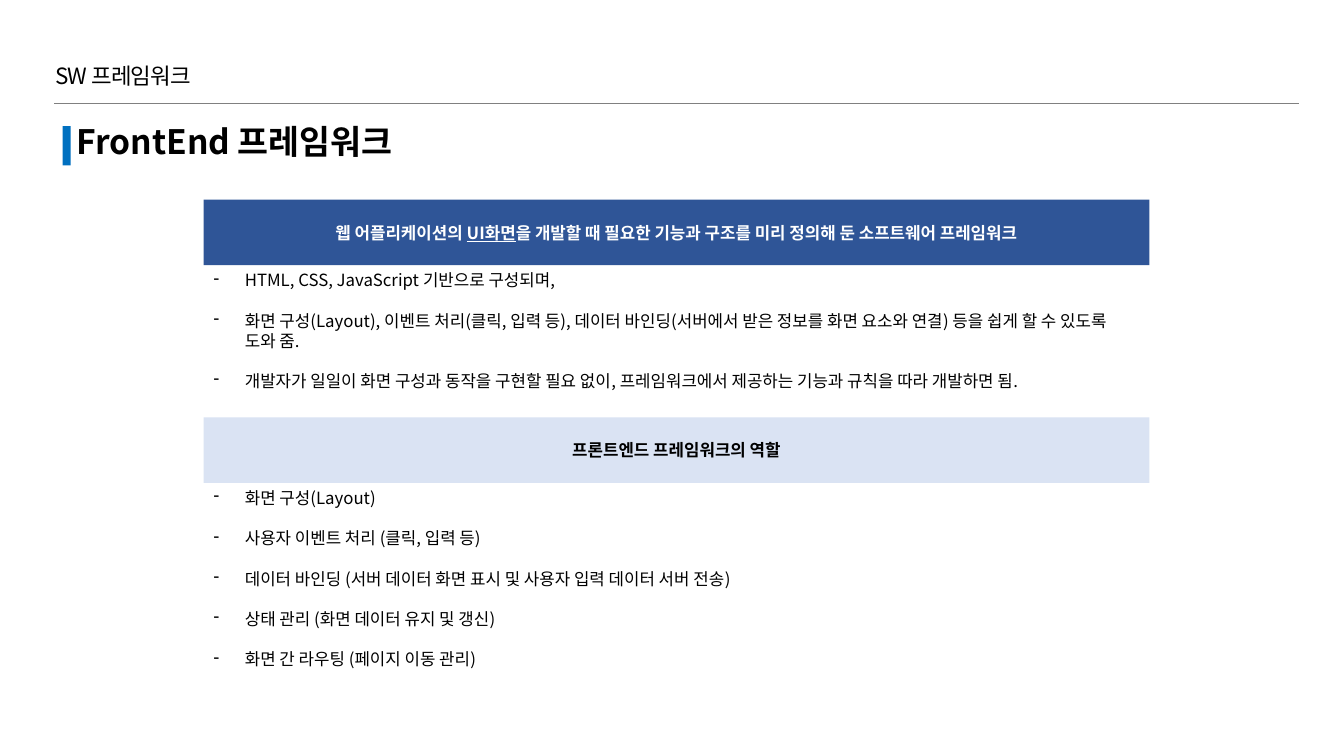
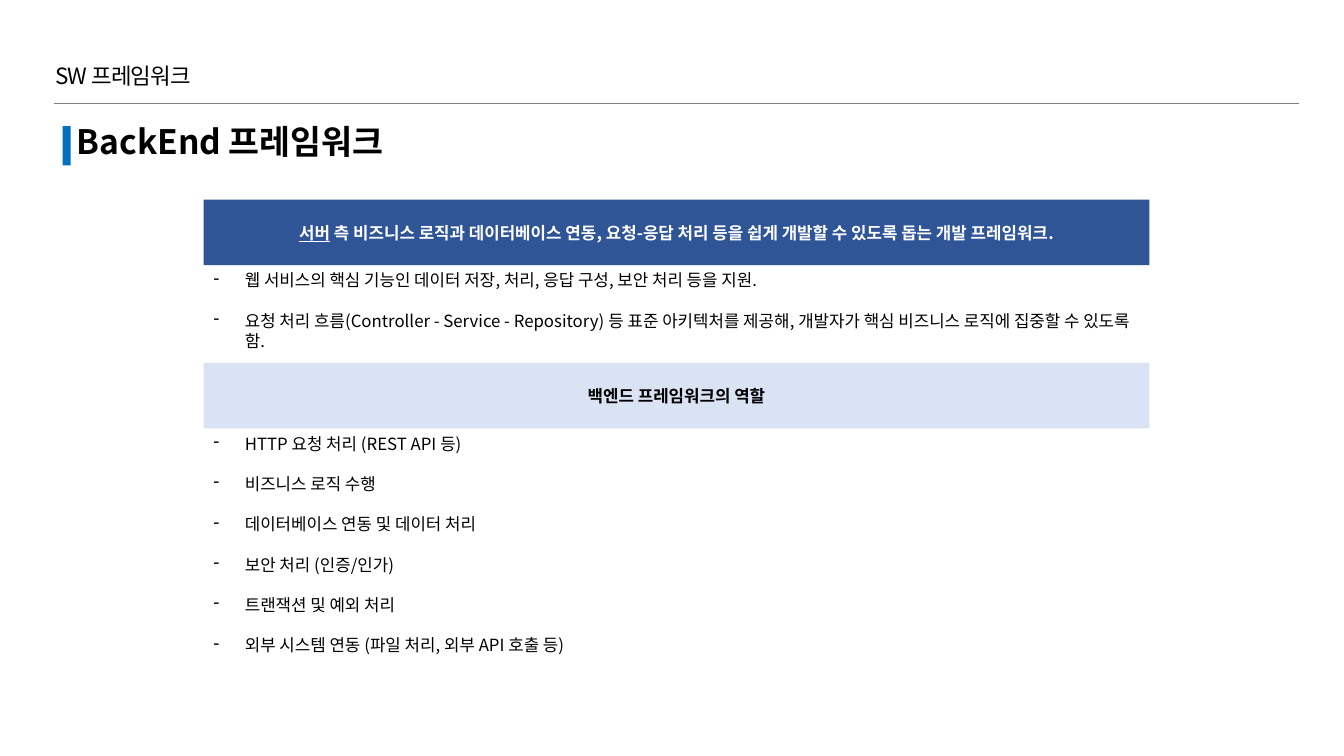
from pptx import Presentation
from pptx.dml.color import RGBColor
from pptx.enum.shapes import MSO_CONNECTOR as LINE, MSO_SHAPE as SHAPE
from pptx.enum.text import MSO_ANCHOR as ANCHOR, MSO_AUTO_SIZE as FIT, PP_ALIGN as ALIGN
from pptx.oxml.ns import qn
from pptx.util import Inches, Pt
from lxml.etree import SubElement

FONT = "Noto Sans CJK KR"
BLACK = RGBColor(0x00, 0x00, 0x00)
WHITE = RGBColor(0xFF, 0xFF, 0xFF)
GRAY = RGBColor(0x80, 0x80, 0x80)
BLUE = RGBColor(0x00, 0x70, 0xC0)
NAVY = RGBColor(0x2F, 0x55, 0x97)
PALE = RGBColor(0xDA, 0xE3, 0xF3)

# Shared column: bars with a list right below each
LEFT, WIDTH, BAR, TOP = 2.02, 9.38, 0.65, 1.98
INDENT = Inches(0.31)

HEAD = {"size": Pt(16), "color": BLACK}
TITLE = {"size": Pt(24), "color": BLACK, "bold": True}
BODY = {"size": Pt(12), "color": BLACK}
LIGHT = {"size": Pt(12), "color": WHITE, "bold": True}
DARK = {"size": Pt(12), "color": BLACK, "bold": True}

# Each section: top, fill, style, bar runs (text, underlined), list height, list items
PAGES = [
    ("FrontEnd 프레임워크", [
        (TOP, NAVY, LIGHT,
         [("웹 어플리케이션의 ", False), ("UI화면", True),
          ("을 개발할 때 필요한 기능과 구조를 미리 정의해 둔 소프트웨어 프레임워크", False)],
         1.51,
         ["HTML, CSS, JavaScript 기반으로 구성되며,",
          "화면 구성(Layout), 이벤트 처리(클릭, 입력 등), 데이터 바인딩(서버에서 받은 정보를 "
          "화면 요소와 연결) 등을 쉽게 할 수 있도록 도와 줌.",
          "개발자가 일일이 화면 구성과 동작을 구현할 필요 없이, 프레임워크에서 제공하는 "
          "기능과 규칙을 따라 개발하면 됨."]),
        (4.14, PALE, DARK, [("프론트엔드 프레임워크의 역할", False)], 1.92,
         ["화면 구성(Layout)",
          "사용자 이벤트 처리 (클릭, 입력 등)",
          "데이터 바인딩 (서버 데이터 화면 표시 및 사용자 입력 데이터 서버 전송)",
          "상태 관리 (화면 데이터 유지 및 갱신)",
          "화면 간 라우팅 (페이지 이동 관리)"]),
    ]),
    ("BackEnd 프레임워크", [
        (TOP, NAVY, LIGHT,
         [("서버", True),
          (" 측 비즈니스 로직과 데이터베이스 연동, 요청-응답 처리 등을 쉽게 개발할 수 있도록 "
           "돕는 개발 프레임워크.", False)],
         1.11,
         ["웹 서비스의 핵심 기능인 데이터 저장, 처리, 응답 구성, 보안 처리 등을 지원.",
          "요청 처리 흐름(Controller - Service - Repository) 등 표준 아키텍처를 제공해, "
          "개발자가 핵심 비즈니스 로직에 집중할 수 있도록 함."]),
        (3.6, PALE, DARK, [("백엔드 프레임워크의 역할", False)], 2.32,
         ["HTTP 요청 처리 (REST API 등)",
          "비즈니스 로직 수행",
          "데이터베이스 연동 및 데이터 처리",
          "보안 처리 (인증/인가)",
          "트랜잭션 및 예외 처리",
          "외부 시스템 연동 (파일 처리, 외부 API 호출 등)"]),
    ]),
]


def write(para, text, style, under=False):
    run = para.add_run()
    run.text = text
    run.font.name = FONT
    for key, value in style.items():
        if key == "color":
            run.font.color.rgb = value
        else:
            setattr(run.font, key, value)
    if under:
        run.font.underline = True
    props = run.font._element
    SubElement(props, qn("a:ea")).set("typeface", FONT)
    return props


def block(slide, x, y, w, h, fill):
    rect = slide.shapes.add_shape(SHAPE.RECTANGLE, Inches(x), Inches(y), Inches(w), Inches(h))
    rect.shadow.inherit = False
    rect.fill.solid()
    rect.fill.fore_color.rgb = fill
    rect.line.fill.background()
    return rect


deck = Presentation()
deck.slide_width, deck.slide_height = Inches(13.33), Inches(7.5)

for name, parts in PAGES:
    slide = deck.slides.add_slide(deck.slide_layouts[5])

    # Chapter heading and rule
    box = slide.shapes.add_textbox(Inches(0.45), Inches(0.49), Inches(5.94), Inches(0.42))
    box.text_frame.word_wrap = True
    para = box.text_frame.paragraphs[0]
    para.line_spacing = 1.3
    write(para, "SW 프레임워크", HEAD).set("spc", "-60")
    rule = slide.shapes.add_connector(
        LINE.STRAIGHT, Inches(0.54), Inches(1.03), Inches(12.88), Inches(1.03))
    rule.line.color.rgb = GRAY
    rule.line.width = Pt(0.5)
    SubElement(rule._element.spPr, qn("a:effectLst"))

    # Title with its accent
    title = slide.shapes.title
    title.left, title.top = Inches(0.66), Inches(1.15)
    title.width, title.height = Inches(9), Inches(0.57)
    frame = title.text_frame
    frame.auto_size = FIT.NONE
    frame.vertical_anchor = ANCHOR.TOP
    para = frame.paragraphs[0]
    para.alignment = ALIGN.LEFT
    write(para, name, TITLE)
    block(slide, 0.62, 1.25, 0.08, 0.39, BLUE)

    # Bars and lists
    for top, fill, style, runs, tall, items in parts:
        bar = block(slide, LEFT, top, WIDTH, BAR, fill)
        bar.text_frame.vertical_anchor = ANCHOR.MIDDLE
        para = bar.text_frame.paragraphs[0]
        para.alignment = ALIGN.CENTER
        for text, under in runs:
            write(para, text, style, under)

        box = slide.shapes.add_textbox(
            Inches(LEFT), Inches(top + BAR), Inches(WIDTH), Inches(tall))
        frame = box.text_frame
        frame.word_wrap = True
        for i, item in enumerate(items):
            para = frame.add_paragraph() if i else frame.paragraphs[0]
            if i:
                para.space_before = Pt(14.4)
            props = para._p.get_or_add_pPr()
            props.set("marL", str(INDENT))
            props.set("indent", str(-INDENT))
            SubElement(props, qn("a:buChar")).set("char", "-")
            write(para, item, BODY)

deck.save("out.pptx")
